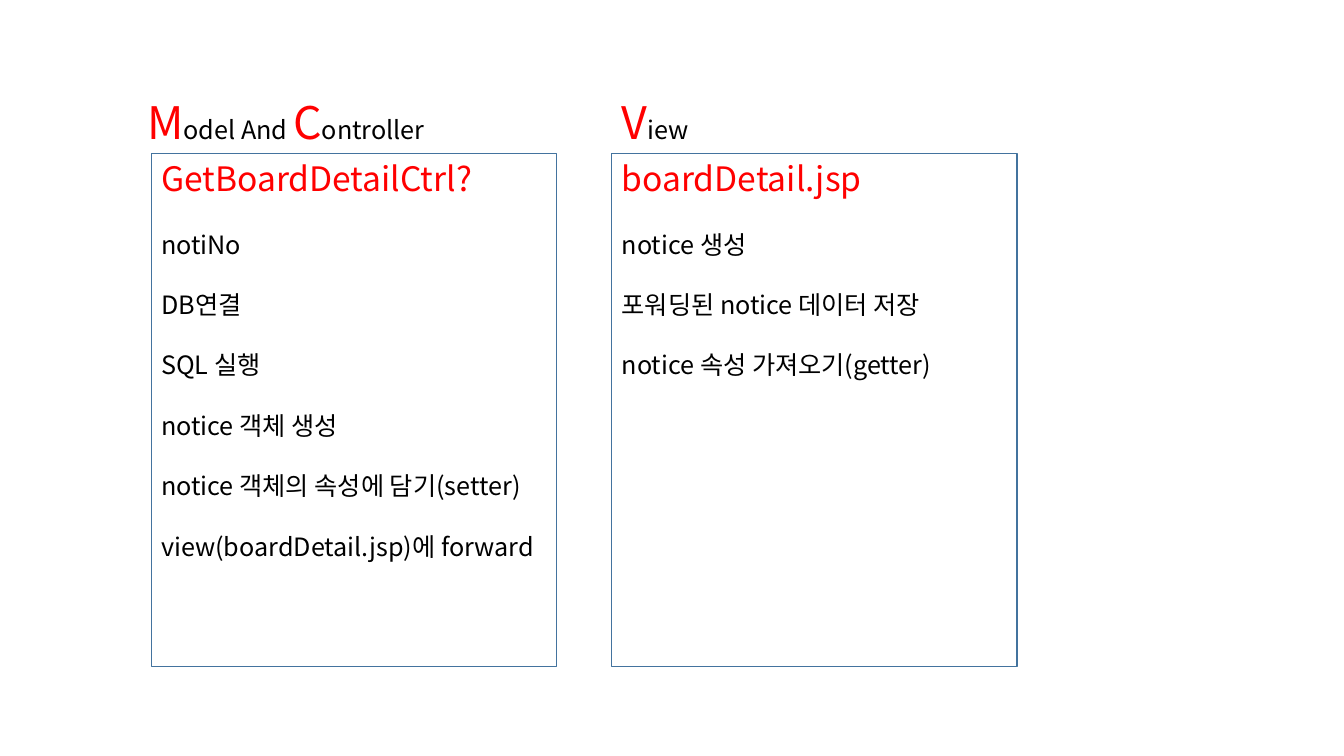
from pptx import Presentation
from pptx import util as u
from pptx.dml.color import RGBColor
from pptx.enum import shapes, text
from pptx.oxml.ns import qn

RED = RGBColor(0xFF, 0x00, 0x00)
BLACK = RGBColor(0x00, 0x00, 0x00)
BLUE = RGBColor(0x43, 0x73, 0x9E)

FONT = "Noto Sans CJK KR"
INITIAL, HEADING, BODY = 32, 24, 18
LINE = 1.2  # line height as a multiple of the text size


def add_run(paragraph, words, size=BODY, color=BLACK):
    run = paragraph.add_run()
    run.text = words
    run.font.size = u.Pt(size)
    run.font.name = FONT
    run.font.color.rgb = color
    # Korean glyphs use the same typeface
    east_asian = run.font._element.makeelement(qn("a:ea"), {"typeface": FONT})
    run.font._element.find(qn("a:latin")).addnext(east_asian)


class MvcSlide:
    box_top, box_width, box_height = 109.5, 289.5, 366.5
    label_top, label_height = 64, 46

    def __init__(self, presentation):
        self.slide = presentation.slides.add_slide(presentation.slide_layouts[6])

    def label(self, left, width, parts):
        """Add a title whose capital initials are large and red."""
        shape = self.slide.shapes.add_textbox(
            u.Pt(left), u.Pt(self.label_top), u.Pt(width), u.Pt(self.label_height))
        frame = shape.text_frame
        frame.word_wrap = False
        frame.auto_size = text.MSO_AUTO_SIZE.SHAPE_TO_FIT_TEXT
        paragraph = frame.paragraphs[0]
        paragraph.line_spacing = u.Pt(INITIAL * LINE)
        for initial, rest in parts:
            add_run(paragraph, initial, size=INITIAL, color=RED)
            add_run(paragraph, rest)

    def box(self, left, heading, steps):
        """Add an outlined box with a red heading and spaced steps."""
        shape = self.slide.shapes.add_shape(
            shapes.MSO_SHAPE.RECTANGLE, u.Pt(left), u.Pt(self.box_top),
            u.Pt(self.box_width), u.Pt(self.box_height))
        shape.shadow.inherit = False
        shape.fill.background()
        shape.line.color.rgb = BLUE
        shape.line.width = u.Pt(1)
        frame = shape.text_frame
        frame.word_wrap = True
        frame.vertical_anchor = text.MSO_ANCHOR.TOP
        paragraph = frame.paragraphs[0]
        paragraph.alignment = text.PP_ALIGN.LEFT
        paragraph.line_spacing = u.Pt(HEADING * LINE)
        add_run(paragraph, heading, size=HEADING, color=RED)
        for step in steps:
            paragraph = frame.add_paragraph()
            paragraph.alignment = text.PP_ALIGN.LEFT
            paragraph.line_spacing = u.Pt(BODY * LINE)
            paragraph.space_before = u.Pt(BODY * LINE)
            add_run(paragraph, step)


def main():
    presentation = Presentation()
    presentation.slide_width, presentation.slide_height = u.Pt(960), u.Pt(540)
    slide = MvcSlide(presentation)

    # Model and controller
    slide.box(108, "GetBoardDetailCtrl?", [
        "notiNo",
        "DB연결",
        "SQL 실행",
        "notice 객체 생성",
        "notice 객체의 속성에 담기(setter)",
        "view(boardDetail.jsp)에 forward",
    ])
    slide.label(98, 217, [("M", "odel And "), ("C", "ontroller")])

    # View
    slide.box(437, "boardDetail.jsp", [
        "notice 생성",
        "포워딩된 notice 데이터 저장",
        "notice 속성 가져오기(getter)",
    ])
    slide.label(437, 63, [("V", "iew")])

    presentation.save("out.pptx")


if __name__ == "__main__":
    main()
